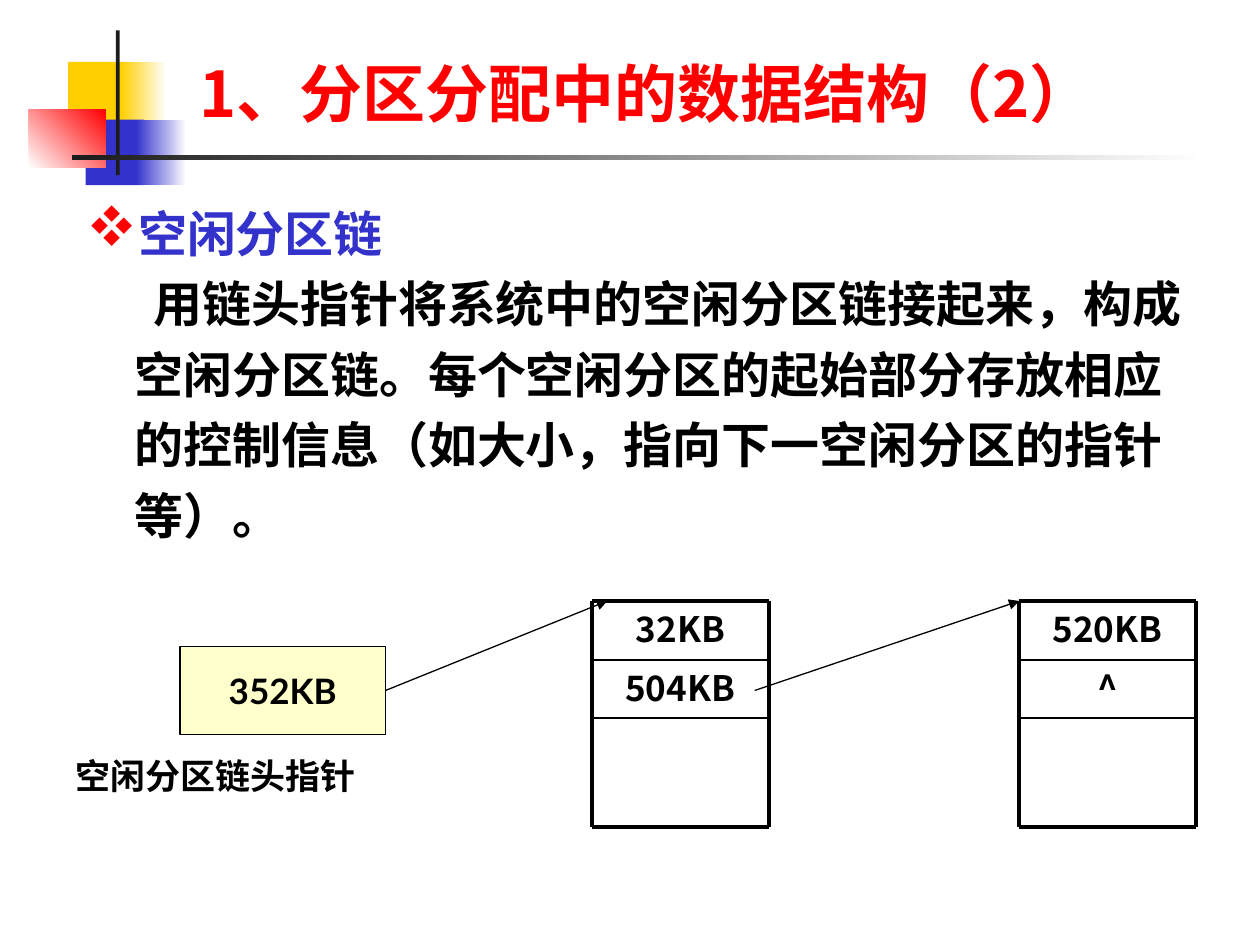
from itertools import accumulate

from lxml.etree import SubElement
from pptx import Presentation
from pptx.dml.color import RGBColor
from pptx.enum.shapes import MSO_CONNECTOR, MSO_SHAPE
from pptx.enum.text import MSO_ANCHOR, MSO_AUTO_SIZE, PP_ALIGN
from pptx.oxml.ns import qn
from pptx.util import Inches, Pt

W, H = 10, 7.5
CJK, LATIN = "Noto Sans CJK SC", "Lato"
BLACK, RED, BLUE, GOLD, DARK, WHITE = (
    "000000", "FF0000", "3333CC", "FFCF01", "1C1C1C", "FFFFFF")

TITLE = "1、分区分配中的数据结构（2）"
HEAD = "空闲分区链"
BODY = ("用链头指针将系统中的空闲分区链接起来，构成空闲分区链。"
        "每个空闲分区的起始部分存放相应的控制信息"
        "（如大小，指向下一空闲分区的指针等）。")
POINTER, CAPTION = "352KB", "空闲分区链头指针"
BLOCKS = [("32KB", "504KB"), ("520KB", "^")]

# left, top, width, height, colours (two make a gradient), angle
DECOR = [
    (0.54, 0.49, 0.48, 0.52, (GOLD,), 0),
    (0.96, 0.49, 0.36, 0.52, (GOLD, WHITE), 0),
    (0.68, 0.95, 0.46, 0.52, (BLUE,), 0),
    (1.08, 0.95, 0.40, 0.52, (BLUE, WHITE), 0),
    (0.23, 0.87, 0.61, 0.46, (WHITE, RED), 45),
    (0.92, 0.24, 0.03, 1.15, (DARK,), 0),
    (0.57, 1.23, 0.9 * W, 0.04, (DARK, WHITE), 0),
]

# Diagram grid
TOP, LEFT, STEP, WIDE = 4.77, 4.7, 3.39, 1.4
ROWS = (0.47, 0.46, 0.86)
MID = 5.48
THICK, THIN, FINE = 2.25, 1, 0.75


def rgb(code):
    return RGBColor.from_string(code)


def write(frame, text, size=20, face=CJK, color=BLACK, align=PP_ALIGN.LEFT,
          more=False, indent=None, bullet=None, spacing=None):
    """Write one bold paragraph; more adds it after those already there."""
    para = frame.add_paragraph() if more else frame.paragraphs[0]
    para.alignment = align
    para.line_spacing = spacing
    props = para._p.get_or_add_pPr()
    if indent:
        margin, first = indent
        props.set("marL", str(Inches(margin)))
        props.set("indent", str(Inches(first)))
    if bullet:
        tint = SubElement(props, qn("a:buClr"))
        SubElement(tint, qn("a:srgbClr"), val=RED)
        SubElement(props, qn("a:buSzPct"), val="115000")
        SubElement(props, qn("a:buFont"), typeface="Wingdings", charset="2")
        SubElement(props, qn("a:buChar"), char=bullet)
    run = para.add_run()
    run.text = text
    font = run.font
    font.size, font.bold, font.name = Pt(size), True, face
    font.color.rgb = rgb(color)
    SubElement(run._r.get_or_add_rPr(), qn("a:ea"), typeface=CJK)


def add_rect(slide, x, y, w, h, colors, angle=0):
    rect = slide.shapes.add_shape(
        MSO_SHAPE.RECTANGLE, Inches(x), Inches(y), Inches(w), Inches(h))
    rect.shadow.inherit = False
    rect.line.fill.background()
    if len(colors) == 1:
        rect.fill.solid()
        rect.fill.fore_color.rgb = rgb(colors[0])
    else:
        rect.fill.gradient()
        rect.fill.gradient_angle = angle
        for stop, color in zip(rect.fill.gradient_stops, colors):
            stop.color.rgb = rgb(color)
    return rect


def add_box(slide, x, y, w, h):
    box = slide.shapes.add_textbox(Inches(x), Inches(y), Inches(w), Inches(h))
    box.text_frame.word_wrap = True
    return box.text_frame


def add_line(slide, start, end, width=FINE, arrow=False):
    ends = [Inches(v) for v in (*start, *end)]
    line = slide.shapes.add_connector(MSO_CONNECTOR.STRAIGHT, *ends)
    line.line.color.rgb = rgb(BLACK)
    line.line.width = Pt(width)
    if arrow:
        SubElement(line.line._get_or_add_ln(), qn("a:tailEnd"),
                   type="triangle")
    SubElement(line._element.spPr, qn("a:effectLst"))
    return line


def add_block(slide, x, texts):
    """Draw a memory block: ruled rows with text in the upper ones."""
    edges = list(accumulate(ROWS, initial=TOP))
    for text, y, high in zip(texts, edges, ROWS):
        write(add_box(slide, x, y, WIDE, high), text, align=PP_ALIGN.CENTER)
    for y in edges:
        width = THICK if y in (edges[0], edges[-1]) else THIN
        add_line(slide, (x, y), (x + WIDE, y), width)
    for side in (x, x + WIDE):
        add_line(slide, (side, TOP), (side, edges[-1]), THICK)


def main():
    deck = Presentation()
    deck.slide_width, deck.slide_height = Inches(W), Inches(H)
    slide = deck.slides.add_slide(deck.slide_layouts[5])
    for *place, colors, angle in DECOR:
        add_rect(slide, *place, colors, angle)

    title = slide.shapes.title
    title.left, title.top = Inches(1.48), Inches(0.49)
    title.width, title.height = Inches(W - 1.48), Inches(0.59)
    title.text_frame.vertical_anchor = MSO_ANCHOR.BOTTOM
    title.text_frame.auto_size = MSO_AUTO_SIZE.NONE
    write(title.text_frame, TITLE, size=36, color=RED)

    body = add_box(slide, 0.59, 1.47, 8.9, 3.15)
    write(body, HEAD, size=28, color=BLUE, spacing=1.2,
          indent=(0.38, -0.38), bullet="v")
    write(body, BODY, size=28, more=True, spacing=1.2, indent=(0.38, 0.15))

    high = 0.7
    head = add_rect(slide, 1.43, MID - high / 2, 1.63, high, ("FFFFCC",))
    head.line.color.rgb = rgb(BLACK)
    head.line.width = Pt(FINE)
    head.text_frame.word_wrap = False
    head.text_frame.vertical_anchor = MSO_ANCHOR.MIDDLE
    write(head.text_frame, POINTER, face=LATIN, align=PP_ALIGN.CENTER)
    write(add_box(slide, 0.5, 5.94, 2.8, 0.43), CAPTION, face=LATIN)

    for i, texts in enumerate(BLOCKS):
        add_block(slide, LEFT + i * STEP, texts)
    link = add_line(slide, (3.06, MID), (LEFT + 0.12, TOP), arrow=True)
    link.begin_connect(head, 3)
    add_line(slide, (LEFT + WIDE - 0.11, MID), (LEFT + STEP, TOP), arrow=True)

    deck.save("out.pptx")


if __name__ == "__main__":
    main()
